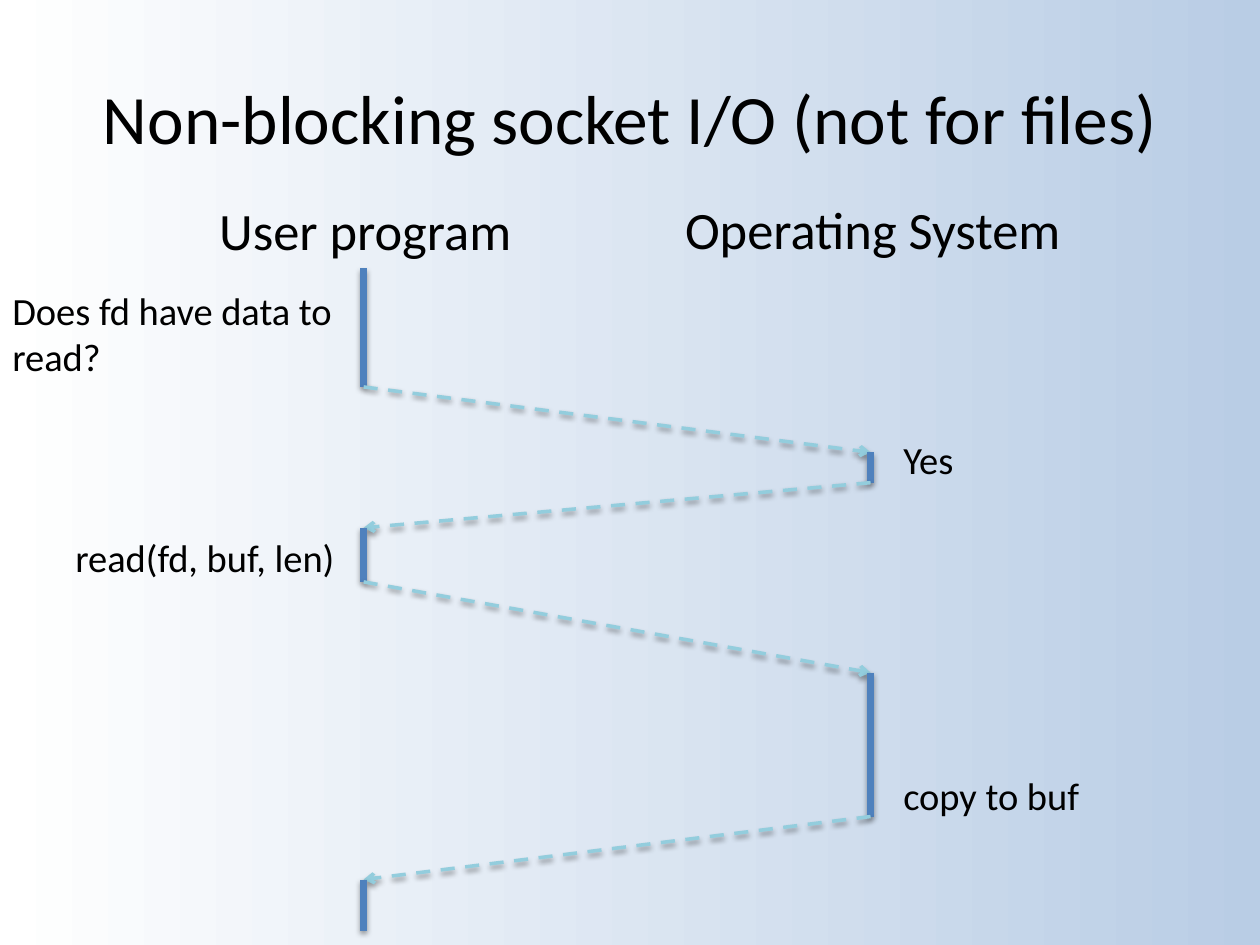
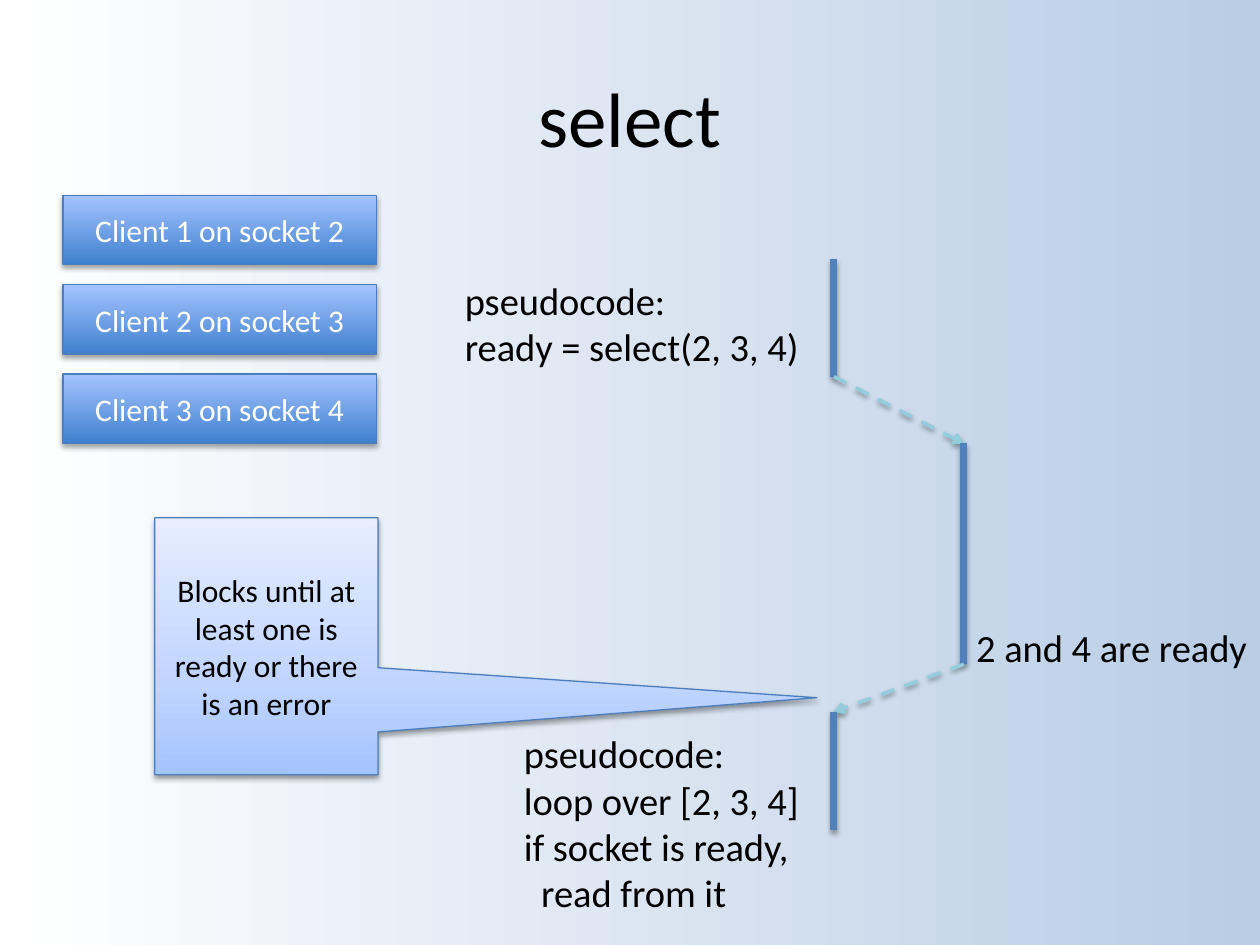
"""Two slides on non-blocking socket I/O and select."""
from dataclasses import dataclass

from lxml import etree
from pptx import Presentation
from pptx import util as u
from pptx.dml.color import RGBColor
from pptx.enum import dml, shapes, text
from pptx.oxml import ns


@dataclass(frozen=True)
class Theme:
    """Colours, gradients (position, colour) and type sizes of the deck."""
    font: str = "Calibri"
    ink: str = "000000"
    paper: str = "FFFFFF"
    activity: str = "4F81BD"
    message: str = "93CDDD"
    outline: str = "4B7EBC"
    background: tuple = ((0, "FFFFFF"), (100, "B9CDE5"))
    client_fill: tuple = ((0, "3F80CE"), (100, "A4C4FF"))
    callout_fill: tuple = ((0, "A4C4FF"), (35, "BFD4FF"), (100, "E6EEFF"))
    title_size: float = 44
    heading_size: float = 30
    label_size: float = 22
    box_size: float = 18


THEME = Theme()


def add_element(parent, tag, **attributes):
    """Append a DrawingML element with the given attributes."""
    element = etree.SubElement(parent, ns.qn(tag))
    for name, value in attributes.items():
        element.set(name, str(value))
    return element


def paint_gradient(fill, owner, stops, angle):
    """Give a fill a linear gradient; owner is the XML element holding it."""
    fill.gradient()
    fill.gradient_angle = angle
    stop_list = owner.xpath(".//a:gsLst")[0]
    for stop in list(stop_list):
        stop_list.remove(stop)
    for position, color in stops:
        stop = add_element(stop_list, "a:gs", pos=position * 1000)
        add_element(stop, "a:srgbClr", val=color)


def cast_shadow(shape, opacity=38, distance=1.6):
    """Add a soft shadow that falls straight down."""
    effects = add_element(shape._element.spPr, "a:effectLst")
    shadow = add_element(effects, "a:outerShdw", blurRad=u.Pt(3.1),
                         dist=u.Pt(distance), dir=90 * 60000, rotWithShape=0)
    color = add_element(shadow, "a:srgbClr", val=THEME.ink)
    add_element(color, "a:alpha", val=opacity * 1000)


def write_text(shape, content, *, size, color=THEME.ink, align=text.PP_ALIGN.LEFT,
               anchor=text.MSO_ANCHOR.TOP, wrap=True, last_indent=0):
    """Fill a shape with formatted text, optionally indenting the last line."""
    frame = shape.text_frame
    frame.text = content
    frame.word_wrap = wrap
    frame.vertical_anchor = anchor
    for paragraph in frame.paragraphs:
        paragraph.alignment = align
        for run in paragraph.runs:
            run.font.name = THEME.font
            run.font.size = u.Pt(size)
            run.font.color.rgb = RGBColor.from_string(color)
    if last_indent:
        properties = frame.paragraphs[-1]._p.get_or_add_pPr()
        properties.set("marL", str(u.Cm(last_indent)))


def add_titled_slide(presentation, title, size=THEME.title_size):
    """Add a title-only slide with a centred title."""
    slide = presentation.slides.add_slide(presentation.slide_layouts[5])
    shape = slide.shapes.title
    shape.left, shape.top = u.Cm(1.27), u.Cm(0.76)
    shape.width, shape.height = u.Cm(22.86), u.Cm(3.18)
    write_text(shape, title, size=size, align=text.PP_ALIGN.CENTER,
               anchor=text.MSO_ANCHOR.MIDDLE)
    return slide


def add_label(slide, content, box, size=THEME.label_size, wrap=False, last_indent=0):
    """Add free text; box is left, top, width, height in cm."""
    shape = slide.shapes.add_textbox(*map(u.Cm, box))
    write_text(shape, content, size=size, wrap=wrap, last_indent=last_indent)
    shape.text_frame.auto_size = text.MSO_AUTO_SIZE.SHAPE_TO_FIT_TEXT


def add_box(slide, content, box, *, kind=shapes.MSO_SHAPE.RECTANGLE, stops,
            color, adjustments=(), opacity=38, distance=1.6):
    """Add a gradient box with centred text."""
    shape = slide.shapes.add_shape(kind, *map(u.Cm, box))
    for index, value in enumerate(adjustments):
        shape.adjustments[index] = value
    paint_gradient(shape.fill, shape._element, stops, 90)
    shape.line.color.rgb = RGBColor.from_string(THEME.outline)
    shape.line.width = u.Pt(0.75)
    cast_shadow(shape, opacity, distance)
    write_text(shape, content, size=THEME.box_size, color=color,
               align=text.PP_ALIGN.CENTER, anchor=text.MSO_ANCHOR.MIDDLE)


def add_line(slide, start, end, *, color, width, message=False):
    """Add a straight line; a message is dashed and ends in an arrowhead."""
    line = slide.shapes.add_connector(shapes.MSO_CONNECTOR.STRAIGHT,
                                      *map(u.Cm, (*start, *end)))
    line.line.color.rgb = RGBColor.from_string(color)
    line.line.width = u.Pt(width)
    if message:
        line.line.dash_style = dml.MSO_LINE.DASH
        add_element(line.line._get_or_add_ln(), "a:tailEnd", type="arrow")
    cast_shadow(line)


def add_sequence(slide, columns, heights):
    """Draw control passing between two columns.

    Each pair of heights is one activity, alternating between the columns;
    a message joins the end of an activity to the start of the next.
    """
    points = [(columns[index // 2 % 2], y) for index, y in enumerate(heights)]
    for index, (start, end) in enumerate(zip(points, points[1:])):
        if index % 2:
            add_line(slide, start, end, color=THEME.message, width=2, message=True)
        else:
            add_line(slide, start, end, color=THEME.activity, width=4)


def build_nonblocking_slide(presentation):
    """Show a readiness check followed by a read."""
    slide = add_titled_slide(presentation, "Non-blocking socket I/O (not for files)",
                             size=39.6)
    add_label(slide, "User program", (4.17, 3.86, 6.45, 1.55), THEME.heading_size)
    add_label(slide, "Operating System", (13.56, 3.84, 8.18, 1.55), THEME.heading_size)
    add_sequence(slide, (7.33, 17.55),
                 (5.41, 7.8, 9.12, 9.73, 10.64, 11.73, 13.56, 16.46, 17.73, 18.77))
    add_label(slide, "Does fd have data to read?", (0, 5.66, 7.06, 2.13), wrap=True)
    add_label(slide, "Yes", (17.96, 8.66, 1.52, 1.19))
    add_label(slide, "read(fd, buf, len)", (1.27, 10.64, 5.79, 1.19))
    add_label(slide, "copy to buf", (17.96, 15.44, 4.11, 1.19))


def build_select_slide(presentation):
    """Show select waiting on three client sockets."""
    slide = add_titled_slide(presentation, "select")
    for index in range(3):
        add_box(slide, f"Client {index + 1} on socket {index + 2}",
                (1.27, 3.94 + 1.8 * index, 6.32, 1.4), stops=THEME.client_fill,
                color=THEME.paper, opacity=35, distance=1.8)
    add_sequence(slide, (16.81, 19.43), (5.23, 7.59, 8.94, 13.39, 14.35, 16.74))
    add_label(slide, "pseudocode:\vready = select(2, 3, 4)", (9.12, 5.46, 7.32, 2.13))
    add_label(slide, "2 and 4 are ready", (19.43, 12.45, 6.05, 1.19))
    add_label(slide, "pseudocode:\vloop over [2, 3, 4]\nif socket is ready,\nread from it",
              (10.31, 14.6, 6.12, 4.01), last_indent=0.35)
    add_box(slide, "Blocks until at least one is ready or there is an error",
            (3.12, 10.44, 4.5, 5.18), kind=shapes.MSO_SHAPE.RECTANGULAR_CALLOUT,
            stops=THEME.callout_fill, color=THEME.ink, adjustments=(2.466, 0.2))


def main():
    """Build and save the deck."""
    presentation = Presentation()
    presentation.slide_width, presentation.slide_height = u.Cm(25.4), u.Cm(19.05)
    master = presentation.slide_master
    paint_gradient(master.background.fill, master.element, THEME.background, 0)
    build_nonblocking_slide(presentation)
    build_select_slide(presentation)
    presentation.save("out.pptx")


main()
